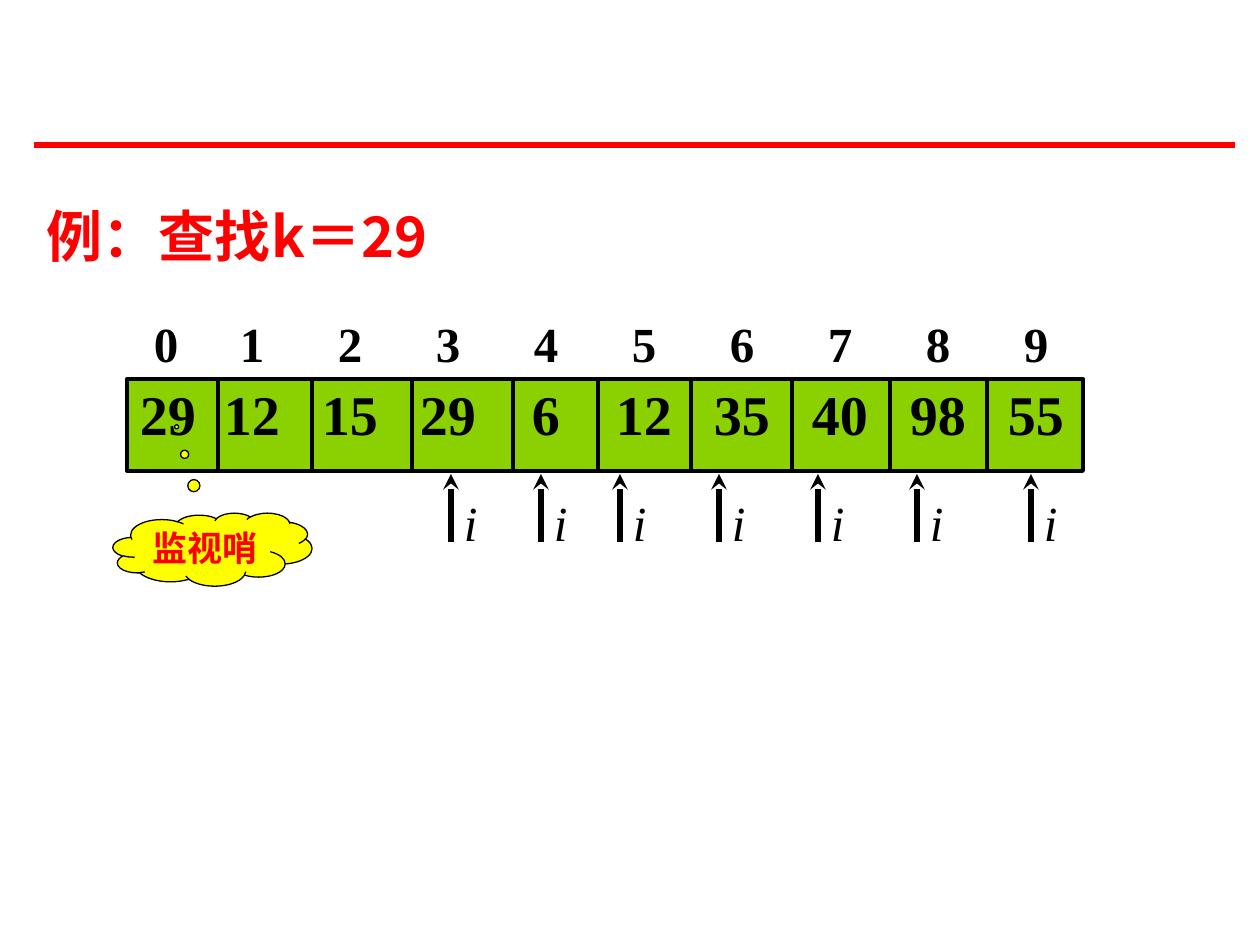
from dataclasses import dataclass

import pptx
import pptx.dml.color
import pptx.enum.shapes
import pptx.enum.text
import pptx.oxml.ns
import pptx.util
from lxml import etree

EMU_PER_PX = 914400 / 126
SHAPE = pptx.enum.shapes.MSO_SHAPE
ANCHOR = pptx.enum.text.MSO_ANCHOR
ALIGN = pptx.enum.text.PP_ALIGN


def px(length):
    return pptx.util.Emu(round(length * EMU_PER_PX))


def rgb(value):
    return pptx.dml.color.RGBColor.from_string(value)


def add_element(parent, tag, **attributes):
    return etree.SubElement(parent, pptx.oxml.ns.qn(tag), attributes)


@dataclass(frozen=True)
class Theme:
    red: str = "FF0000"
    black: str = "000000"
    cell: str = "8BD000"
    cloud: str = "FFFF00"
    serif: str = "Times New Roman"
    sans: str = "Arial"
    chinese: str = "Noto Sans CJK SC"
    large: int = 32
    medium: int = 28
    small: int = 20
    thin: float = 0.75
    border: float = 2.25
    thick: float = 3


class SlideBuilder:
    def __init__(self, slide, theme):
        self.shapes = slide.shapes
        self.theme = theme

    def label(self, shape, text, size, font, color="", bold=False, italic=False,
              insets=(0, 0, 0, 0), align=ALIGN.LEFT, anchor=ANCHOR.TOP,
              wrap=True, tabs=()):
        """Fill a shape with one paragraph; tabs are centred stops."""
        frame = shape.text_frame
        frame.word_wrap = wrap
        frame.vertical_anchor = anchor
        (frame.margin_left, frame.margin_top,
         frame.margin_right, frame.margin_bottom) = map(px, insets)
        paragraph = frame.paragraphs[0]
        paragraph.text = text
        paragraph.alignment = align
        if tabs:
            stops = add_element(paragraph._p.get_or_add_pPr(), "a:tabLst")
            for position in tabs:
                add_element(stops, "a:tab", pos=str(px(position)), algn="ctr")
        style = paragraph.font
        style.size = pptx.util.Pt(size)
        style.bold = bold
        style.italic = italic
        style.color.rgb = rgb(color or self.theme.black)
        style.name = font
        add_element(style._element, "a:ea", typeface=font)

    def text(self, left, top, width, height, text, size, font, **style):
        box = self.shapes.add_textbox(px(left), px(top), px(width), px(height))
        self.label(box, text, size, font, **style)

    def shape(self, kind, left, top, width, height, fill, line_width):
        shape = self.shapes.add_shape(kind, px(left), px(top), px(width), px(height))
        shape.shadow.inherit = False
        shape.fill.solid()
        shape.fill.fore_color.rgb = rgb(fill)
        shape.line.color.rgb = rgb(self.theme.black)
        shape.line.width = pptx.util.Pt(line_width)
        return shape

    def line(self, x1, y1, x2, y2, width, color="", arrow=False):
        line = self.shapes.add_connector(
            pptx.enum.shapes.MSO_CONNECTOR.STRAIGHT, px(x1), px(y1), px(x2), px(y2))
        line.line.color.rgb = rgb(color or self.theme.black)
        line.line.width = pptx.util.Pt(width)
        if arrow:
            add_element(line.line._get_or_add_ln(), "a:tailEnd", type="stealth")
        add_element(line._element.spPr, "a:effectLst")


def main():
    theme = Theme()
    deck = pptx.Presentation()
    deck.slide_width, deck.slide_height = px(1260), px(945)
    slide = SlideBuilder(deck.slides.add_slide(deck.slide_layouts[6]), theme)

    slide.line(34, 145, 1235, 145, theme.thick, theme.red)

    values = (29, 12, 15, 29, 6, 12, 35, 40, 98, 55)
    dividers = (218, 312, 412, 513, 598, 691, 792, 890, 987)
    array_top, array_bottom = 379, 471
    column_step = 98
    column_offsets = [column_step * n for n in range(len(values) - 1)]

    array = slide.shape(SHAPE.RECTANGLE, 127, array_top, 956,
                        array_bottom - array_top, theme.cell, theme.border)
    slide.label(array, "\t".join(map(str, values)), theme.large, theme.serif,
                bold=True, insets=(13, 1, 13, 1),
                tabs=[112 + offset for offset in column_offsets])
    for x in dividers:
        slide.line(x, array_top, x, array_bottom - 2, theme.border)
    slide.text(146, 314, 951, 52, "\t".join(map(str, range(len(values)))),
               theme.medium, theme.serif, bold=True, insets=(8, 0, 13, 1),
               tabs=[98 + offset for offset in column_offsets])

    slide.text(34, 195, 446, 81, "例：查找k＝29", theme.large, theme.chinese,
               color=theme.red, bold=True, insets=(13, 6, 13, 6))

    for x in (1031, 917, 818, 719, 620, 541, 451):
        slide.text(x + 13, 493, 53, 59, "i", theme.medium, theme.serif, italic=True)
        slide.line(x, 542, x, 474, theme.thick, arrow=True)

    sentinel = slide.shape(SHAPE.CLOUD_CALLOUT, 113, 513, 199, 73,
                           theme.cloud, theme.thin)
    sentinel.adjustments[0] = -0.18
    sentinel.adjustments[1] = -1.68
    slide.label(sentinel, "监视哨", theme.small, theme.sans, color=theme.red,
                bold=True, insets=(13, 6, 13, 6), align=ALIGN.CENTER,
                anchor=ANCHOR.MIDDLE, wrap=False)

    deck.save("out.pptx")


if __name__ == "__main__":
    main()
